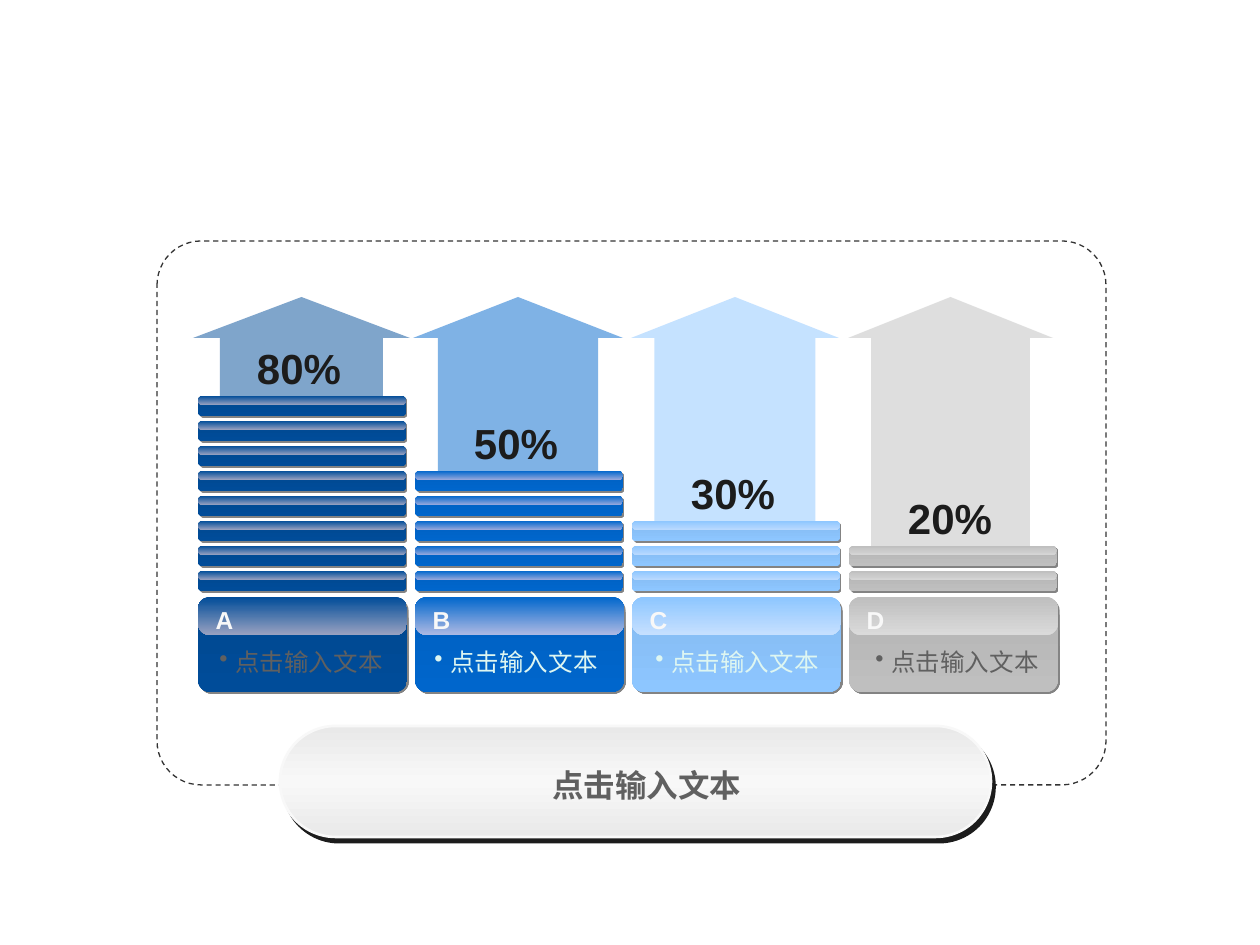
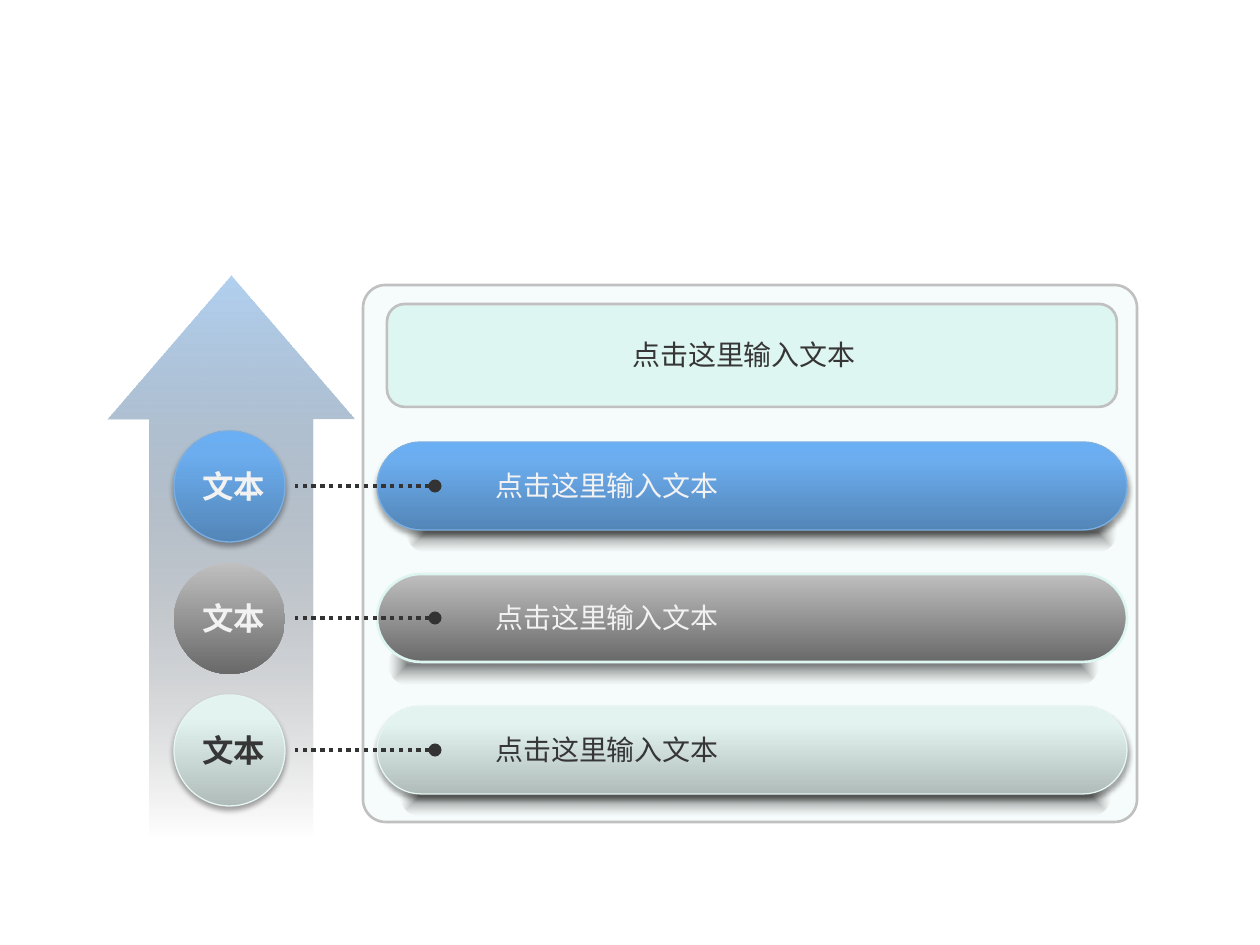
"""Build two slides: a percentage stack comparison and a three-step arrow list."""
from pptx import Presentation
from pptx.dml.color import RGBColor
from pptx.enum.dml import MSO_LINE
from pptx.enum.shapes import MSO_CONNECTOR, MSO_SHAPE
from pptx.enum.text import MSO_AUTO_SIZE, PP_ALIGN
from pptx.oxml import parse_xml
from pptx.oxml.ns import nsdecls, qn
from pptx.util import Pt

SCALE = 914400 / 126
ROUND, OVAL, ARROW = MSO_SHAPE.ROUNDED_RECTANGLE, MSO_SHAPE.OVAL, MSO_SHAPE.UP_ARROW

COLORS = {
    "white": "FFFFFF", "ink": "1C1C1C", "line": "333333", "dark": "363636",
    "gray": "606060", "pale": "F8F8F8", "light": "F2F2F2", "mint": "DEF6F1",
    "border": "C0C0C0", "edge": "E9E9E9", "shade": "080808", "black": "000000",
}

PILL_TEXT = "点击输入文本"
COLUMNS = [
    {"letter": "A", "percent": 80, "main": "004C99", "deep": "00478F", "gloss": "98A1C0",
     "bar_gloss": "98A1C0", "text": "gray", "arrow": (-5, 217, 0.751), "body_dx": 9},
    {"letter": "B", "percent": 50, "main": "0066CC", "deep": "005FBF", "gloss": "ADB9E3",
     "bar_gloss": "98A9DD", "text": "mint", "arrow": (-2, 210, 0.762), "body_dx": 7},
    {"letter": "C", "percent": 30, "main": "8DC6FF", "deep": "84B9EF", "gloss": "C6E0FF",
     "bar_gloss": "BADAFF", "text": "mint", "arrow": (-1, 208, 0.774), "body_dx": 11},
    {"letter": "D", "percent": 20, "main": "BFBFBF", "deep": "B3B3B3", "gloss": "DADADA",
     "bar_gloss": "D5D5D5", "text": "gray", "arrow": (-1, 205, 0.774), "body_dx": 14},
]
CARD_X, CARD_Y, CARD_W, CARD_STEP = 198, 597, 209, 217
BAR_Y, BAR_STEP, ARROW_Y, HEAD_H = 571, 25, 297, 41

STEP_TEXT = "点击这里输入文本"
BLUE = [(0, "5386B8"), (80, "6CADEF"), (100, "6AAEF3")]
SILVER = [(0, "BFBFBF"), (100, "696969")]
MINT = [(0, "AFBCB9"), (80, "E3F4F0"), (100, "E3F6F2")]
SOFT = ("black", 35, 3.1, 1.8, 90)
STEPS = [
    {"label": "文本", "stops": BLUE, "angle": 270, "bar_line": ("7AAFE4", 0.75),
     "dot_line": ("7AAFE4", 0.75), "shadow": SOFT, "text": "light", "cast_x": 407},
    {"label": "文本", "stops": SILVER, "angle": 90, "bar_line": ("mint", 1.5),
     "dot_line": None, "shadow": None, "text": "light", "cast_x": 389},
    {"label": "文本", "stops": MINT, "angle": 270, "bar_line": ("E6F5F2", 0.75),
     "dot_line": ("E6F5F2", 0.75), "shadow": SOFT, "text": "dark", "cast_x": 401},
]
STEP_Y, STEP_GAP, BAR_X, BAR_W, BAR_H, DOT = 442, 132, 377, 750, 88, 111
CAST = '<a:path path="shape"><a:fillToRect l="50000" t="50000" r="50000" b="50000"/></a:path>'


def px(*values):
    return [round(v * SCALE) for v in values]


def hex_of(color):
    return COLORS.get(color, color)


def element(tag, inner="", attrs=""):
    return parse_xml(f"<a:{tag} {nsdecls('a')} {attrs}>{inner}</a:{tag}>")


def color_xml(color, alpha=100):
    return f'<a:srgbClr val="{hex_of(color)}"><a:alpha val="{alpha * 1000}"/></a:srgbClr>'


def solid(color, alpha=100):
    return element("solidFill", color_xml(color, alpha))


def gradient(stops, angle=90, direction=None):
    gs = "".join(f'<a:gs pos="{pos * 1000}">{color_xml(*c)}</a:gs>' for pos, *c in stops)
    direction = direction or f'<a:lin ang="{angle * 60000}" scaled="0"/>'
    return element("gradFill", f"<a:gsLst>{gs}</a:gsLst>{direction}", 'rotWithShape="1"')


def shadow_xml(color, alpha, blur, dist, angle):
    return element("outerShdw", color_xml(color, alpha),
                   f'blurRad="{Pt(blur)}" dist="{Pt(dist)}" dir="{angle * 60000}" '
                   'algn="ctr" rotWithShape="0"')


def set_line(line, color, width, dash=None):
    line.color.rgb = RGBColor.from_string(hex_of(color))
    line.width = Pt(width)
    if dash:
        line.dash_style = dash


def add_shape(s, kind, box, fill, adj=(), line=None, shadow=None):
    sp = s.shapes.add_shape(kind, *px(*box))
    for i, value in enumerate(adj):
        sp.adjustments[i] = value
    sp.shadow.inherit = False
    sp.fill.background()
    spPr = sp._element.spPr
    spPr.replace(spPr.find(qn("a:noFill")), fill)
    if line:
        set_line(sp.line, *line)
    else:
        sp.line.fill.background()
    if shadow:
        spPr.find(qn("a:effectLst")).append(shadow_xml(*shadow))
    return sp


def add_text(s, box, text, size, color, bold=False, center=False, before=50,
             bullet=False, shadow=None):
    tf = s.shapes.add_textbox(*px(*box)).text_frame
    tf.word_wrap = True
    tf.auto_size = MSO_AUTO_SIZE.SHAPE_TO_FIT_TEXT
    p = tf.paragraphs[0]
    p.alignment = PP_ALIGN.CENTER if center else PP_ALIGN.LEFT
    pPr = p._p.get_or_add_pPr()
    pPr.append(element("spcBef", f'<a:spcPct val="{before * 1000}"/>'))
    if bullet:
        indent = px(16)[0]
        pPr.set("marL", str(indent))
        pPr.set("indent", str(-indent))
        pPr.append(element("buChar", attrs='char="•"'))
    r = p.add_run()
    r.text = text
    for key, value in {"name": "Arial", "size": Pt(size), "bold": bold}.items():
        setattr(r.font, key, value)
    r.font.color.rgb = RGBColor.from_string(hex_of(color))
    if shadow:
        effects = element("effectLst")
        effects.append(shadow_xml(*shadow))
        r._r.rPr.find(qn("a:solidFill")).addnext(effects)


def add_leader(s, x1, x2, y):
    c = s.shapes.add_connector(MSO_CONNECTOR.STRAIGHT, *px(x1, y, x2, y))
    set_line(c.line, "line", 2.5, MSO_LINE.ROUND_DOT)
    c.line._get_or_add_ln().append(element("headEnd", attrs='type="oval"'))
    c._element.spPr.append(element("effectLst"))


def add_glossy(s, box, gloss_h, col, gloss, adj):
    x, y, w, _ = box
    add_shape(s, ROUND, box, gradient([(0, col["deep"]), (100, col["main"])]), adj[:1],
              shadow=("shade", 50, 0, 1.4, 45))
    add_shape(s, ROUND, (x, y, w, gloss_h), gradient([(0, col["main"]), (100, gloss)]), adj[1:])


def add_column(s, x, col):
    count = col["percent"] // 10
    top = BAR_Y - (count - 1) * BAR_STEP
    dx, w, shaft = col["arrow"]
    h = top + 10 - ARROW_Y
    add_shape(s, ARROW, (x + dx, ARROW_Y, w, h), solid(col["main"], 50),
              (shaft, HEAD_H / min(w, h)))
    add_text(s, (x + 28, top - 60, 146, 58), f"{col['percent']}%", 24, "ink", True, True)
    add_glossy(s, (x, CARD_Y, CARD_W, 95), 38, col, col["gloss"], (0.127, 0.308))
    add_text(s, (x + col["body_dx"], 641, 192, 43), PILL_TEXT, 14, col["text"], bullet=True)
    add_text(s, (x + 2, 599, 49, 39), col["letter"], 14, "pale", True, True,
             shadow=("black", 100, 0, 1.4, 45))
    for i in range(count):
        add_glossy(s, (x, BAR_Y - i * BAR_STEP, CARD_W - 1, 20), 9, col, col["bar_gloss"],
                   (0.206, 0.5))


def build_stacks(s):
    add_shape(s, ROUND, (157, 241, 949, 544), solid("white"), (0.081,),
              ("line", 0.75, MSO_LINE.DASH))
    add_shape(s, ROUND, (280, 726, 711, 111),
              gradient([(0, "edge"), (50, "pale"), (100, "edge")]), (0.5,),
              ("pale", 1.5), ("ink", 100, 0, 3.6, 56))
    add_text(s, (312, 760, 670, 50), PILL_TEXT, 18, "gray", True, True)
    for i, col in enumerate(COLUMNS):
        add_column(s, CARD_X + i * CARD_STEP, col)


def build_steps(s):
    add_shape(s, ROUND, (363, 285, 774, 537), solid("mint", 25), (0.042,), ("border", 1.5))
    rows = [(STEP_Y + i * STEP_GAP, step) for i, step in enumerate(STEPS)]
    for y, step in rows:
        add_shape(s, ROUND, (step["cast_x"], y + 71, 709, 39),
                  gradient([(0, "black", 50), (100, "6C6C6C", 0)], direction=CAST), (0.5,))
        add_shape(s, ROUND, (BAR_X, y, BAR_W, BAR_H), gradient(step["stops"], step["angle"]),
                  (0.5,), step["bar_line"], step["shadow"])
    add_shape(s, ARROW, (108, 276, 246, 562),
              gradient([(0, "B2D1F1"), (100, "3B3B3B", 0)]), (0.663, 0.584))
    for y, step in rows:
        add_shape(s, OVAL, (174, y - 11, DOT, DOT), gradient(step["stops"], step["angle"]),
                  line=step["dot_line"], shadow=step["shadow"])
        add_leader(s, 435, 295, y + BAR_H // 2)
        add_text(s, (159, y + 19, 150, 50), step["label"], 18, step["text"], True, True, 20)
        add_text(s, (483, y + 20, 295, 47), STEP_TEXT, 16, step["text"], before=20)
    add_shape(s, ROUND, (387, 304, 730, 103), solid("mint"), (0.174,), ("border", 1.5))
    add_text(s, (620, 331, 295, 47), STEP_TEXT, 16, "dark", before=20)


def main():
    prs = Presentation()
    prs.slide_width, prs.slide_height = px(1260, 945)
    for build in (build_stacks, build_steps):
        build(prs.slides.add_slide(prs.slide_layouts[6]))
    prs.save("out.pptx")


if __name__ == "__main__":
    main()
